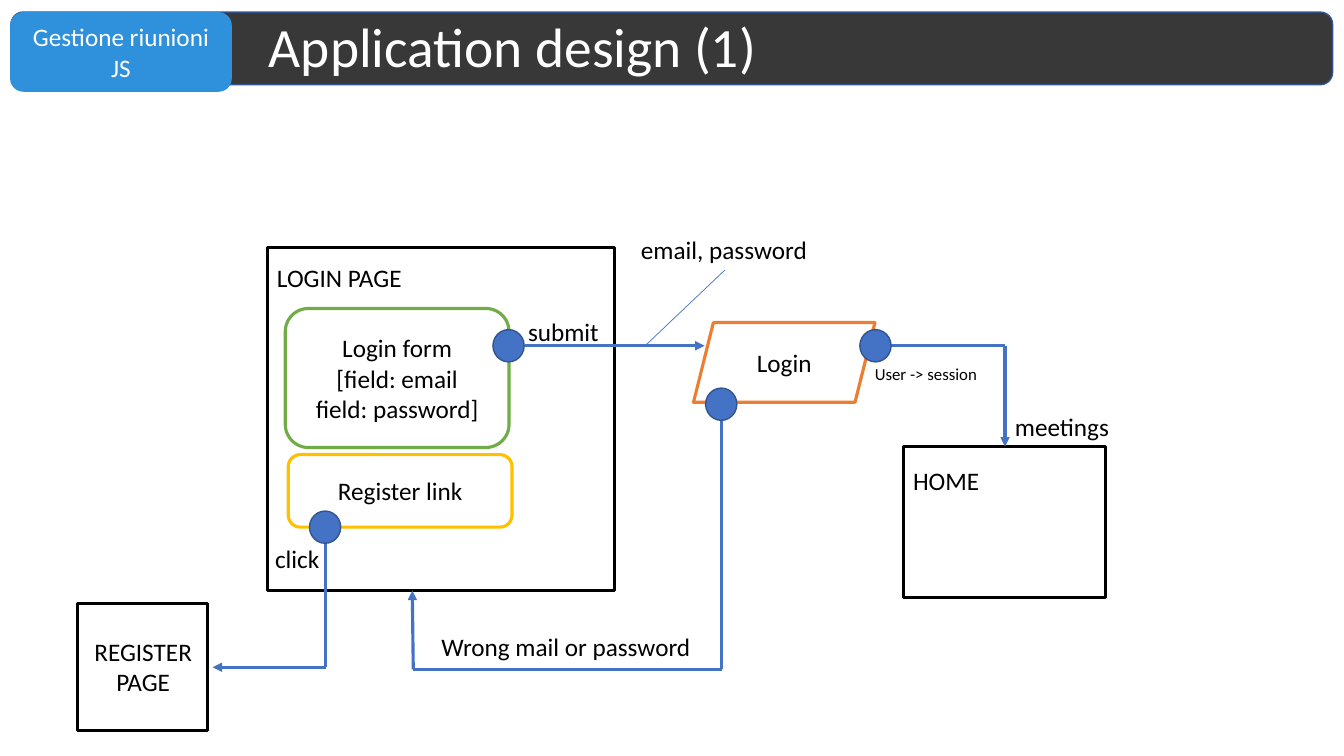
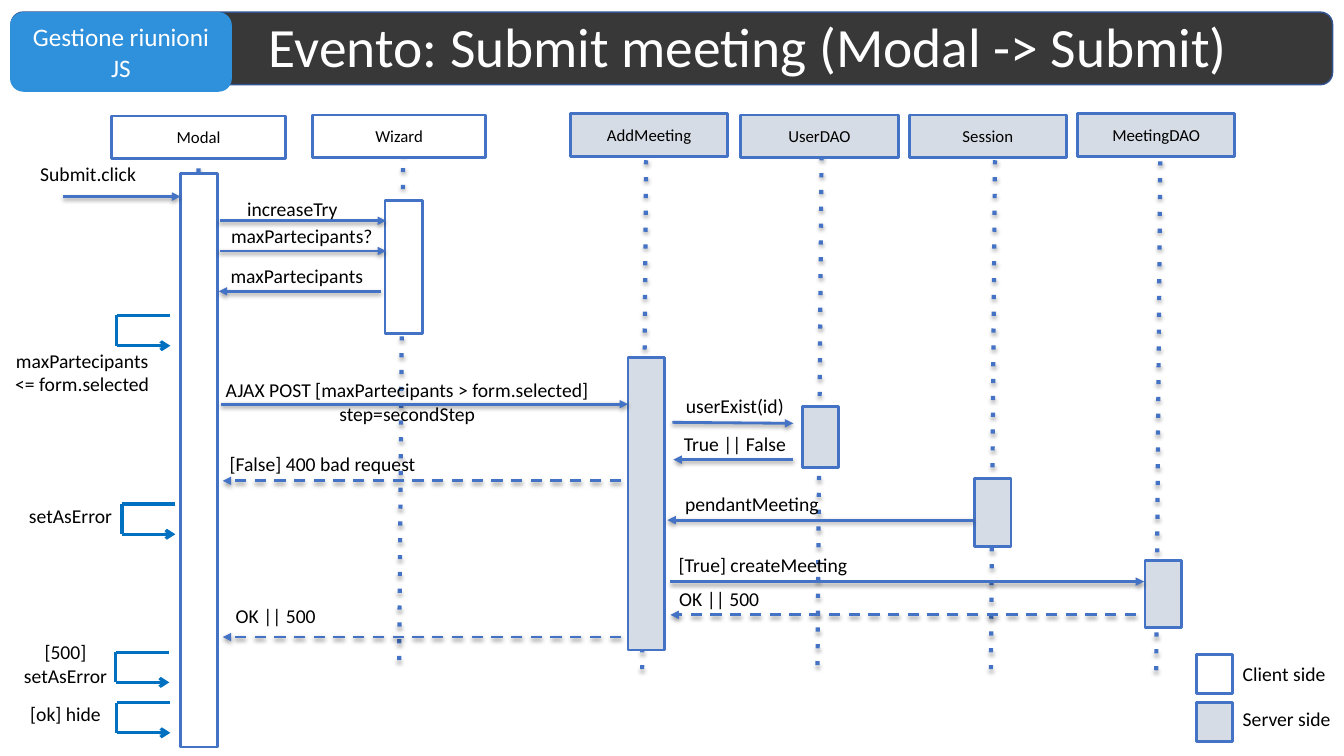
from dataclasses import dataclass
from lxml.etree import SubElement as Sub
from pptx import Presentation
from pptx.dml.color import RGBColor as Rgb
from pptx.enum.shapes import MSO_CONNECTOR as Conn, MSO_SHAPE as Form
from pptx.enum.text import MSO_ANCHOR as Anchor, PP_ALIGN as Align
from pptx.oxml.ns import qn
from pptx.util import Inches, Pt

COLS, ROWS = 133.33, 75


@dataclass(frozen=True)
class Theme:
    """Colours, font, type sizes and line widths."""
    font: str = "Calibri"
    white: str = "FFFFFF"
    black: str = "000000"
    band: str = "383838"
    badge: str = "2F90DB"
    blue: str = "4472C4"
    edge: str = "325491"
    loop: str = "0070C0"
    green: str = "70AD47"
    orange: str = "ED7D31"
    gold: str = "FFC000"
    server: str = "D6DCE5"
    title: float = 39.6
    body: float = 18
    note: float = 14
    small: float = 12
    thin: float = 0.5
    fine: float = 1
    mid: float = 2
    bold: float = 2.25
    dots: float = 3


class Deck:
    """Holds the style, the grid and the current slide."""

    def __init__(self, theme):
        """Start a wide deck with a grid of tenths of an inch."""
        self.look = theme
        self.prs = Presentation()
        self.prs.slide_width = Inches(13.33)
        self.prs.slide_height = Inches(7.5)
        self.col = self.prs.slide_width / COLS
        self.row = self.prs.slide_height / ROWS

    def grid(self, x, y):
        """Turn columns and rows into slide units."""
        return round(x * self.col), round(y * self.row)

    def page(self, title):
        """Start a slide with the band, the badge and a title."""
        look = self.look
        self.slide = self.prs.slides.add_slide(self.prs.slide_layouts[6])
        self.shape(Form.ROUNDED_RECTANGLE, (1.1, 1.2, 131.1, 7.2),
                   look.band, look.edge, look.fine)
        self.shape(Form.ROUNDED_RECTANGLE, (1, 1.2, 22, 7.9), look.badge,
                   text="Gestione riunioni JS", ink=look.white)
        self.label(title, (25.7, 1.2, 106.3, 7.4), look.title, look.white,
                   wrap=True, mid=True, space=0.9)

    def fill_text(self, frame, text, size, ink, align, space=None):
        """Fill a frame, one paragraph for each line of text."""
        for num, line in enumerate(text.split("\n")):
            para = frame.add_paragraph() if num else frame.paragraphs[0]
            para.alignment = align
            if space:
                para.line_spacing = space
            run = para.add_run()
            run.text = line
            run.font.name = self.look.font
            run.font.size = Pt(size)
            run.font.color.rgb = Rgb.from_string(ink)

    def shape(self, form, box, fill, line=None, width=1, text="",
              size=None, ink=None):
        """Draw a preset shape with optional centred text."""
        item = self.slide.shapes.add_shape(
            form, *self.grid(*box[:2]), *self.grid(*box[2:]))
        item.shadow.inherit = False
        item.fill.solid()
        item.fill.fore_color.rgb = Rgb.from_string(fill)
        if line:
            item.line.color.rgb = Rgb.from_string(line)
            item.line.width = Pt(width)
        else:
            item.line.fill.background()
        if text:
            frame = item.text_frame
            frame.word_wrap = True
            frame.vertical_anchor = Anchor.MIDDLE
            self.fill_text(frame, text, size or self.look.body,
                           ink or self.look.black, Align.CENTER)

    def label(self, text, box, size=None, ink=None, wrap=False, mid=False,
              align=Align.LEFT, pad=None, space=None):
        """Place a text box."""
        item = self.slide.shapes.add_textbox(
            *self.grid(*box[:2]), *self.grid(*box[2:]))
        frame = item.text_frame
        frame.word_wrap = wrap
        frame.vertical_anchor = Anchor.MIDDLE if mid else Anchor.TOP
        if pad:
            frame.margin_left = frame.margin_right = Inches(pad)
            frame.margin_top = frame.margin_bottom = Inches(pad / 2)
        self.fill_text(frame, text, size or self.look.body,
                       ink or self.look.black, align, space)

    def note(self, text, x, y, wide):
        """Place a centred note of the sequence diagram."""
        self.label(text, (x, y, wide, 3), self.look.note, wrap=True,
                   align=Align.CENTER, pad=0.12)

    def line(self, start, end, width=None, ink=None, tip=None, dash=None,
             shade=None):
        """Draw a line; shade is the opacity and offset of its shadow."""
        item = self.slide.shapes.add_connector(
            Conn.STRAIGHT, *self.grid(*start), *self.grid(*end))
        item.line.color.rgb = Rgb.from_string(ink or self.look.blue)
        item.line.width = Pt(width or self.look.bold)
        stroke = item.get_or_add_ln()
        if dash:
            Sub(stroke, qn("a:prstDash"), val=dash)
        if tip:
            Sub(stroke, qn("a:tailEnd"), type=tip)
        effect = Sub(item._element.spPr, qn("a:effectLst"))
        if shade:
            alpha, drop = shade
            cast = Sub(effect, qn("a:outerShdw"), blurRad=str(Pt(3.1)),
                       dist=str(Pt(drop)), dir="5400000", rotWithShape="0")
            tone = Sub(cast, qn("a:srgbClr"), val=self.look.black)
            Sub(tone, qn("a:alpha"), val=str(alpha * 1000))

    def route(self, *spots, tip="triangle", ink=None):
        """Join spots with lines and put a tip on the last one."""
        last = len(spots) - 2
        for num, (start, end) in enumerate(zip(spots, spots[1:])):
            self.line(start, end, ink=ink, tip=tip if num == last else None)

    def event(self, x, y):
        """Draw an event dot by its left top corner."""
        self.shape(Form.OVAL, (x, y, 3.1, 3.2), self.look.blue,
                   self.look.edge, self.look.fine)

    def call(self, x, y, end, drop=0, dash=None):
        """Draw a message arrow from column x to column end."""
        self.line((x, y), (end, y + drop), self.look.mid, tip="triangle",
                  dash=dash, shade=(38, 1.6))

    def life(self, x, y):
        """Draw a dotted lifeline."""
        self.line((x, y), (x - 0.4, y + 50.7), self.look.dots, dash="dot",
                  shade=(35, 1.8))

    def block(self, box, fill, text=""):
        """Draw a head, a bar or a key box of the sequence diagram."""
        self.shape(Form.RECTANGLE, box, fill, self.look.blue, self.look.mid,
                   text, self.look.small)

    def loop(self, x, y):
        """Draw a call of an object to itself."""
        left, low = x - 5.3, y + 3
        self.route((x, y), (left, y), (left, low), (x, low), tip="arrow",
                   ink=self.look.loop)


def design(deck):
    """Build the login flow."""
    look = deck.look
    deck.page("Application design (1)")
    for box in ((26.5, 24.6, 34.5, 34), (89.6, 44.3, 20.1, 15),
                (7.7, 59.9, 12.9, 12.6)):
        deck.shape(Form.RECTANGLE, box, look.white, look.black, look.bold)
    parts = (
        (Form.ROUNDED_RECTANGLE, (28.3, 30.6, 22.2, 13.8), look.green,
         "Login form\n[field: email\nfield: password]"),
        (Form.ROUNDED_RECTANGLE, (28.6, 45.1, 22.2, 7.2), look.gold,
         "Register link"),
        (Form.PARALLELOGRAM, (68.8, 32, 18, 7.9), look.orange, "Login"),
    )
    for form, box, edge, text in parts:
        deck.shape(form, box, look.white, edge, look.bold, text)
    deck.line((71.9, 26.8), (64, 34.3), look.thin)
    deck.route((52.1, 34.3), (69.9, 34.3))
    deck.route((86.8, 34.3), (99.7, 34.3), (99.7, 44.3))
    deck.route((71.6, 41.3), (71.6, 66.4), (41, 66.4), (40.9, 58.6))
    deck.route((32.3, 53.9), (32.3, 66.2), (21.1, 66.2))
    for x, y in ((48.9, 32.7), (70, 38.5), (85.3, 32.7), (30.7, 50.7)):
        deck.event(x, y)
    words = (
        ("LOGIN PAGE", 26.5, 25.5, 14.5),
        ("submit", 51.4, 30.9, 9.1),
        ("email, password", 62.6, 22.8, 18.7),
        ("HOME", 89.6, 45.7, 8.6),
        ("meetings", 99.7, 40.3, 11.5),
        ("Wrong mail or password", 42.8, 62.1, 27),
        ("click", 26.3, 53.4, 6.5),
    )
    for text, x, y, wide in words:
        deck.label(text, (x, y, wide, 4))
    deck.label("User -> session", (85.8, 35.6, 12.3, 3), look.small)
    deck.label("REGISTER\nPAGE", (8.3, 62.6, 11.8, 7.1), align=Align.CENTER)


def submit(deck):
    """Build the sequence diagram of the submit event."""
    look = deck.look
    deck.page("Evento: Submit meeting (Modal -> Submit)")
    # name, fill, head (x, y, width), lifeline start, bar box
    actors = (
        ("Modal", look.white, (11.1, 11.5, 17.2), (19.7, 16.7),
         (17.9, 17.2, 3.7, 56.9)),
        ("Wizard", look.white, (31, 11.4, 17.2), (40, 15),
         (38.2, 19.9, 3.7, 13.2)),
        ("AddMeeting", look.server, (56.6, 11.3, 15.6), (64.1, 15.9),
         (62.3, 35.5, 3.6, 29)),
        ("UserDAO", look.server, (73.5, 11.4, 15.6), (81.5, 15.5),
         (79.6, 40.3, 3.6, 6.1)),
        ("Session", look.server, (90.2, 11.4, 15.6), (98.7, 15.9),
         (96.7, 47.5, 3.6, 6.7)),
        ("MeetingDAO", look.server, (106.9, 11.3, 15.6), (115.1, 16),
         (113.6, 55.6, 3.6, 6.7)),
    )
    for name, fill, head, start, bar in actors:
        deck.life(*start)
        deck.block((*head, 4.2), fill, name)
        deck.block(bar, fill)
    calls = (
        (6.3, 19.5, 17.9), (21.8, 21.9, 38.3), (21.8, 24.9, 38.3),
        (37.8, 28.9, 21.7), (21.9, 40.1, 62.3), (66.7, 41.9, 78.7, 0.1),
        (78.7, 45.6, 66.8), (96.5, 51.6, 66.2), (66.5, 57.7, 113.5),
        (61.6, 47.7, 22.1, 0, "dash"), (112.7, 61, 66.5, 0, "dash"),
        (61.6, 63.2, 22.1, 0, "dash"),
    )
    for call in calls:
        deck.call(*call)
    for x, y in ((16.9, 31.3), (17.4, 50), (16.8, 64.7), (16.9, 69.7)):
        deck.loop(x, y)
    notes = (
        ("Submit.click", 2.5, 15.5, 12.5),
        ("increaseTry", 21.7, 18.9, 14.6),
        ("maxPartecipants?", 21.5, 21.6, 16.9),
        ("maxPartecipants", 21.3, 25.6, 16.3),
        ("maxPartecipants\n<= form.selected", 0, 34, 16.3),
        ("AJAX POST [maxPartecipants > form.selected]\nstep=secondStep",
         19.7, 36.9, 41.4),
        ("userExist(id)", 66.1, 38.5, 13.6),
        ("True || False", 66.1, 42.3, 13.6),
        ("[False] 400 bad request", 21.5, 44.2, 21),
        ("setAsError", 1.4, 49.4, 11.2),
        ("pendantMeeting", 66.2, 48.2, 16.8),
        ("[True] createMeeting", 65.2, 54.3, 21),
        ("OK || 500", 65, 57.6, 12.7),
        ("OK || 500", 21, 59.3, 12.7),
        ("[500]\nsetAsError", 0.9, 62.9, 11.2),
        ("[ok] hide", 0.9, 69, 11.2),
    )
    for note in notes:
        deck.note(*note)
    keys = (("Client side", look.white, 64.9, 65.2),
            ("Server side", look.server, 69.7, 69.6))
    for text, fill, top, base in keys:
        deck.block((118.7, top, 3.6, 3.9), fill)
        deck.label(text, (122.3, base, 10.8, 3.4), look.note)


def main():
    """Build both slides and save the deck."""
    deck = Deck(Theme())
    design(deck)
    submit(deck)
    deck.prs.save("out.pptx")


main()
